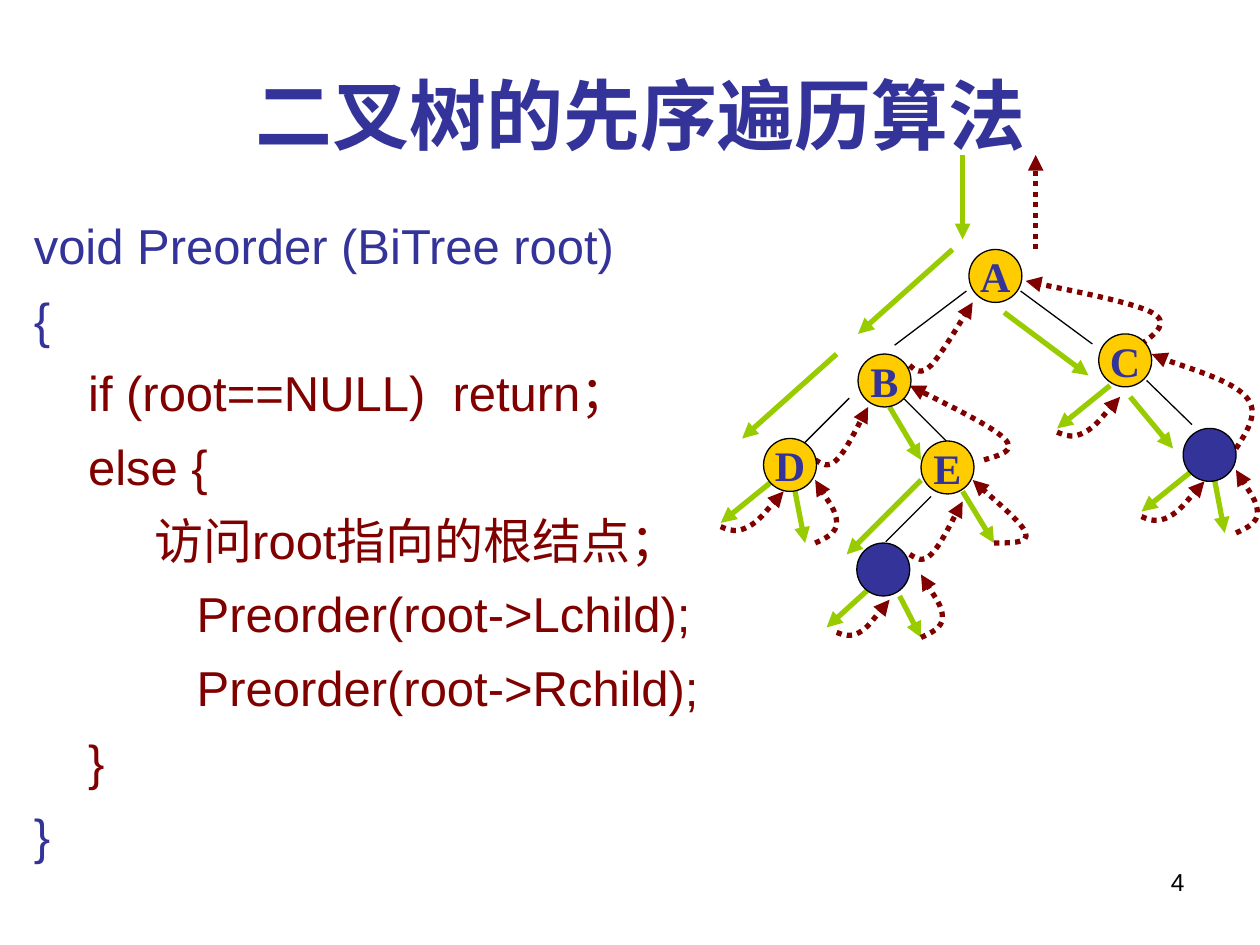
import pptx
import pptx.util
import pptx.dml.color
import pptx.enum.dml
import pptx.enum.shapes
import pptx.enum.text
from lxml import etree
from pptx.oxml.ns import qn

PX = 9144  # EMU per px, 100 px to the inch
NODE = 42
INDIGO, MAROON, GREEN = "333399", "800000", "99CC00"
GOLD, BLACK = "FFCC00", "000000"
ALIGN = pptx.enum.text.PP_ALIGN
ANCHOR = pptx.enum.text.MSO_ANCHOR

CODE = [
    ("void Preorder (BiTree root)", INDIGO),
    ("{", INDIGO),
    ("    if (root==NULL)  return；", MAROON),
    ("    else {", MAROON),
    ("           访问root指向的根结点；", MAROON),
    ("            Preorder(root->Lchild);", MAROON),
    ("            Preorder(root->Rchild);", MAROON),
    ("    }", MAROON),
    ("}", INDIGO),
]

# Left, top, letter, fill
NODES = [
    (769, 198, "A", GOLD), (681, 281, "B", GOLD), (606, 348, "D", GOLD),
    (731, 350, "E", GOLD), (680, 431, "", INDIGO), (872, 265, "C", GOLD),
    (939, 340, "", INDIGO),
]

# Start x, start y, end x, end y
EDGES = [
    (767, 231, 710, 274), (810, 231, 867, 273), (717, 316, 753, 352),
    (739, 394, 703, 430), (674, 316, 638, 352), (910, 302, 946, 337),
]
DESCENTS = [
    (764, 123, 764, 190), (756, 198, 681, 265), (664, 281, 589, 348),
    (614, 381, 572, 415), (631, 390, 639, 431), (706, 323, 731, 365),
    (731, 381, 672, 440), (689, 468, 656, 498), (714, 473, 731, 506),
    (797, 248, 864, 298), (881, 306, 839, 340), (897, 315, 931, 356),
    (764, 390, 789, 431), (947, 373, 906, 406), (964, 381, 972, 423),
]

# Bezier offsets from the start of each return path, with its start points
RETURNS = [
    # From an empty left child
    ([(7, 3), (13, 5), (22, 0), (30, -4), (45, -23), (50, -28)],
     [(572, 418), (839, 343), (906, 410)]),
    ([(5, 2), (11, 4), (18, 0), (25, -4), (38, -22), (42, -26)],
     [(664, 502)]),
    # From an empty right child
    ([(9, -4), (17, -8), (17, -16), (17, -25), (3, -44), (0, -50)],
     [(647, 431), (731, 506), (981, 423)]),
    ([(14, 0), (28, 0), (25, -8), (22, -16), (-10, -43), (-17, -50)],
     [(789, 431)]),
    # From a left child: D to B, the lowest node to E, B to A
    ([(5, 3), (10, 7), (17, 0), (24, -7), (38, -35), (42, -42)],
     [(647, 365), (722, 440)]),
    ([(4, 4), (9, 8), (17, 0), (25, -9), (45, -42), (50, -50)],
     [(722, 290)]),
    # From a right child: E to B, the lowest right node to C, C to A
    ([(13, -4), (26, -7), (16, -17), (6, -27), (-46, -52), (-59, -59)],
     [(781, 365)]),
    ([(9, -14), (19, -29), (8, -41), (-3, -54), (-55, -69), (-67, -75)],
     [(981, 356)]),
    ([(11, -8), (23, -17), (8, -25), (-7, -33), (-75, -46), (-92, -50)],
     [(906, 273)]),
]


def px(*lengths):
    return [length * PX for length in lengths]


def rgb(color):
    return pptx.dml.color.RGBColor.from_string(color)


def style_font(paragraph, size, color, name="Arial", bold=False):
    font = paragraph.font
    font.size = pptx.util.Pt(size)
    font.name = name
    font.bold = bold
    font.color.rgb = rgb(color)


def add_text(slide, box, lines, size, align=ALIGN.LEFT, anchor=ANCHOR.TOP,
             bold=False, gap=0, hanging=0):
    frame = slide.shapes.add_textbox(*px(*box)).text_frame
    frame.word_wrap = True
    frame.vertical_anchor = anchor
    for i, (text, color) in enumerate(lines):
        paragraph = frame.add_paragraph() if i else frame.paragraphs[0]
        paragraph.text = text
        paragraph.alignment = align
        if i and gap:
            paragraph.space_before = pptx.util.Pt(gap)
        if hanging:
            properties = paragraph._p.get_or_add_pPr()
            properties.set("marL", str(hanging * PX))
            properties.set("indent", str(-hanging * PX))
        style_font(paragraph, size, color, bold=bold)


def style_line(line, color, width, dotted=False, arrow=False):
    line.color.rgb = rgb(color)
    line.width = pptx.util.Pt(width)
    if dotted:
        line.dash_style = pptx.enum.dml.MSO_LINE.ROUND_DOT
    if arrow:
        etree.SubElement(line._ln, qn("a:tailEnd"), type="triangle")


def add_line(tree, ends, color, width, **style):
    connector = tree.shapes.add_connector(
        pptx.enum.shapes.MSO_CONNECTOR.STRAIGHT, *px(*ends))
    style_line(connector.line, color, width, **style)
    etree.SubElement(connector._element.spPr, qn("a:effectLst"))


def add_return(tree, start, offsets):
    x, y = start
    builder = tree.shapes.build_freeform(*px(x, y))
    builder.add_line_segments([px(x + dx, y + dy) for dx, dy in offsets],
                              close=False)
    curve = builder.convert_to_shape()
    # Each three points become one cubic segment
    segments = list(curve._element.iter(qn("a:lnTo")))
    outline = segments[0].getparent()
    for i in range(0, len(segments), 3):
        cubic = etree.SubElement(outline, qn("a:cubicBezTo"))
        for segment in segments[i:i + 3]:
            cubic.append(segment[0])
            outline.remove(segment)
    curve.fill.background()
    curve.shadow.inherit = False
    style_line(curve.line, MAROON, 3, dotted=True, arrow=True)


def add_node(tree, left, top, letter, fill):
    node = tree.shapes.add_shape(pptx.enum.shapes.MSO_SHAPE.OVAL,
                                 *px(left, top, NODE, NODE))
    node.shadow.inherit = False
    node.fill.solid()
    node.fill.fore_color.rgb = rgb(fill)
    style_line(node.line, BLACK, 0.75)
    if letter:
        frame = node.text_frame
        frame.word_wrap = False
        frame.vertical_anchor = ANCHOR.MIDDLE
        paragraph = frame.paragraphs[0]
        paragraph.text = letter
        paragraph.alignment = ALIGN.CENTER
        style_font(paragraph, 24, INDIGO, "Times New Roman", bold=True)


def main():
    deck = pptx.Presentation()
    deck.slide_width, deck.slide_height = px(1000, 750)
    slide = deck.slides.add_slide(deck.slide_layouts[6])

    # Page number, title and code
    add_text(slide, (717, 683, 233, 52), [("4", BLACK)], 14, ALIGN.RIGHT)
    add_text(slide, (59, 28, 900, 125), [("二叉树的先序遍历算法", INDIGO)], 44,
             ALIGN.CENTER, ANCHOR.MIDDLE, bold=True)
    add_text(slide, (17, 166, 558, 584), CODE, 28, gap=8.5, hanging=38)

    # Tree with its traversal route
    tree = slide.shapes.add_group_shape()
    for edge in EDGES:
        add_line(tree, edge, BLACK, 0.75)
    for descent in DESCENTS:
        add_line(tree, descent, GREEN, 3, arrow=True)
    for offsets, starts in RETURNS:
        for start in starts:
            add_return(tree, start, offsets)
    add_line(tree, (822, 198, 822, 123), MAROON, 3, dotted=True, arrow=True)
    for node in NODES:
        add_node(tree, *node)

    deck.save("out.pptx")


if __name__ == "__main__":
    main()
